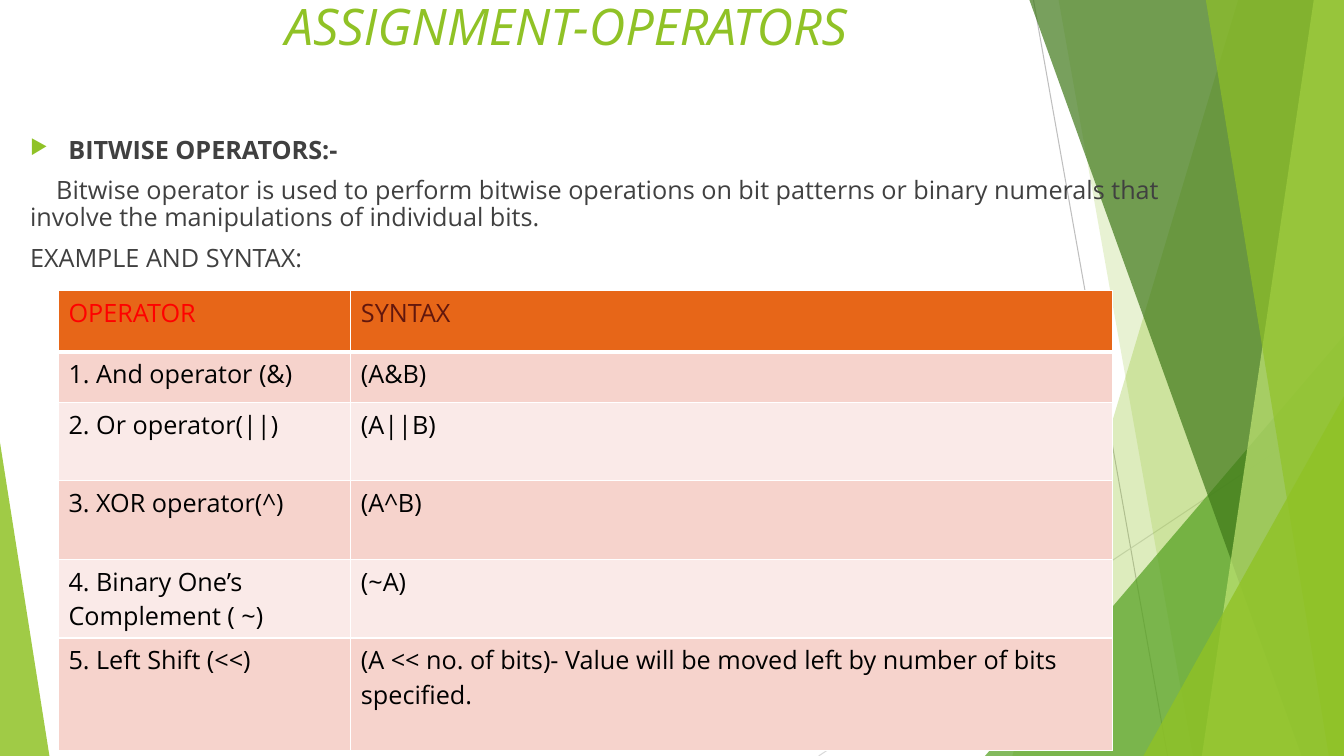
from lxml import etree
from pptx import Presentation
from pptx.dml.color import RGBColor
from pptx.enum import shapes, text
from pptx.oxml.ns import qn
from pptx.util import Inches, Pt

# Content
TITLE = "ASSIGNMENT-OPERATORS"
# text, left margin, first-line indent, space before, bold
BODY = [
    ("BITWISE OPERATORS:-", 0.38, -0.38, 0, True),
    ("Bitwise operator is used to perform bitwise operations on bit patterns "
     "or binary numerals that involve the manipulations of individual bits.",
     0, 0.26, 10, False),
    ("EXAMPLE AND SYNTAX:", 0, 0, 10, False),
]
ROWS = [
    ("OPERATOR", "SYNTAX"),
    ("1. And operator (&)", "(A&B)"),
    ("2. Or operator(||)", "(A||B)"),
    ("3. XOR operator(^)", "(A^B)"),
    ("4. Binary One’s Complement ( ~)", "(~A)"),
    ("5. Left Shift (<<)", "(A << no. of bits)- Value will be moved left "
     "by number of bits specified."),
]
COLS = [2.9, 7.55]
HIGH = [0.61, 0.5, 0.78, 0.78, 0.78, 1.12]

# Style
FONT = "Open Sans"
LIME = RGBColor(0x90, 0xC2, 0x26)
GREEN = RGBColor(0x54, 0xA0, 0x21)
DARK = RGBColor(0x3F, 0x78, 0x19)
PALE = RGBColor(0xC0, 0xE4, 0x74)
GREY = RGBColor(0xBF, 0xBF, 0xBF)
MIST = RGBColor(0xD9, 0xD9, 0xD9)
INK = RGBColor(0x40, 0x40, 0x40)
BLACK = RGBColor(0, 0, 0)
ORANGE = RGBColor(0xE7, 0x66, 0x18)
BANDS = [RGBColor(0xFA, 0xEA, 0xE8), RGBColor(0xF6, 0xD3, 0xCC)]
HEADS = [RGBColor(0xFF, 0, 0), RGBColor(0x62, 0x17, 0x0D)]

# Backdrop, from back to front
W, H = 13.33, 7.5
LINES = [(10.25, 0, 11.58, H, GREY), (W, 4.03, 8.12, H, MIST)]
# panels reach the right edge: top-left x, bottom-left x, colour, opacity
# triangles: left, top, width, apex, colour, opacity
DECOR = [
    ("panel", (12.28, 10.04), LIME, 30),
    ("panel", (10.5, 11.83), LIME, 20),
    ("tri", (9.77, 3.33, 3.56, 1), GREEN, 72),
    ("panel", (10.21, 12.91), DARK, 70),
    ("panel", (13.03, 11.92), PALE, 70),
    ("panel", (11.96, 13.18), LIME, 65),
    ("tri", (11.34, 3.93, 1.99, 1), LIME, 80),
    ("tri", (0, 4.39, 0.49, 0), LIME, 85),
]

deck = Presentation()
deck.slide_width, deck.slide_height = Inches(W), Inches(H)
slide = deck.slides.add_slide(deck.slide_layouts[6])
draw = slide.shapes


def sub(node, tag, **attrs):
    return etree.SubElement(node, qn(tag), attrs)


def style(par, size, color, bold=False, slant=False):
    font = par.font
    font.name, font.size = FONT, Pt(size)
    font.bold, font.italic = bold, slant
    font.color.rgb = color


def panel(top, foot):
    pen = draw.build_freeform(Inches(top), 0)
    pen.add_line_segments([(Inches(x), Inches(y)) for x, y in
                           ((W, 0), (W, H), (foot, H))], close=True)
    return pen.convert_to_shape()


def tri(left, top, wide, apex):
    shape = draw.add_shape(shapes.MSO_SHAPE.ISOSCELES_TRIANGLE, Inches(left),
                           Inches(top), Inches(wide), Inches(H - top))
    shape.adjustments[0] = apex
    return shape


def box(left, top, wide, high):
    frame = draw.add_textbox(*map(Inches, (left, top, wide, high))).text_frame
    frame.word_wrap = True
    frame.vertical_anchor = text.MSO_ANCHOR.TOP
    return frame


# Backdrop
for x1, y1, x2, y2, color in LINES:
    line = draw.add_connector(shapes.MSO_CONNECTOR.STRAIGHT,
                              *map(Inches, (x1, y1, x2, y2)))
    line.line.color.rgb, line.line.width = color, Pt(0.75)
    sub(line._element.spPr, "a:effectLst")

for kind, place, color, alpha in DECOR:
    shape = {"panel": panel, "tri": tri}[kind](*place)
    shape.shadow.inherit = False
    shape.line.fill.background()
    shape.fill.solid()
    shape.fill.fore_color.rgb = color
    tone = shape._element.spPr.find(".//" + qn("a:srgbClr"))
    sub(tone, "a:alpha", val=str(alpha * 1000))

# Title
par = box(2.73, -0.1, 9.82, 1.3).paragraphs[0]
par.text = TITLE
style(par, 36, LIME, slant=True)

# Body
frame = box(0.2, 1.32, 12.2, 5.46)
for i, (words, margin, indent, gap, bold) in enumerate(BODY):
    par = frame.add_paragraph() if i else frame.paragraphs[0]
    par.text = words
    style(par, 18, INK, bold)
    par.line_spacing, par.space_before = 0.88, Pt(gap)
    props = par._p.get_or_add_pPr()
    props.set("marL", str(Inches(margin)))
    props.set("indent", str(Inches(indent)))
    if indent < 0:
        sub(sub(props, "a:buClr"), "a:srgbClr", val=str(LIME))
        sub(props, "a:buSzPct", val="80000")
        sub(props, "a:buChar", char="▶")

# Table
table = draw.add_table(len(ROWS), len(COLS), Inches(0.58), Inches(2.88),
                       Inches(sum(COLS)), Inches(sum(HIGH))).table
for col, wide in zip(table.columns, COLS):
    col.width = Inches(wide)
for r, (row, high) in enumerate(zip(ROWS, HIGH)):
    table.rows[r].height = Inches(high)
    for c, words in enumerate(row):
        cell = table.cell(r, c)
        cell.text = words
        style(cell.text_frame.paragraphs[0], 18, BLACK if r else HEADS[c])
        props = cell._tc.get_or_add_tcPr()
        for side in "LRTB":
            thick = 3 if (r, side) in ((0, "B"), (1, "T")) else 1
            edge = sub(props, "a:ln" + side, w=str(Pt(thick)))
            sub(sub(edge, "a:solidFill"), "a:srgbClr", val="FFFFFF")
        cell.fill.solid()
        cell.fill.fore_color.rgb = BANDS[r % 2] if r else ORANGE

deck.save("out.pptx")
